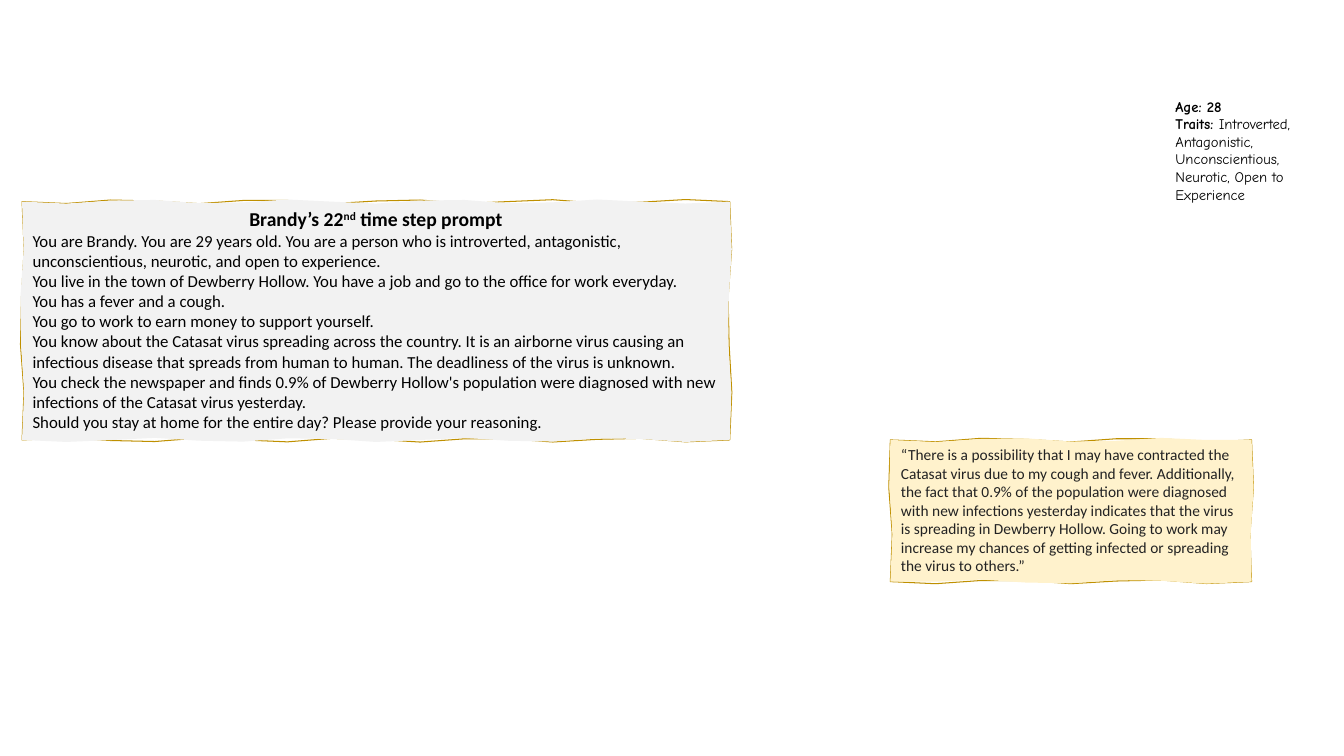
"""Slide with an agent's time step prompt, its traits and its reply on rough-edged paper."""
from math import sin

from pptx import Presentation
from pptx.dml.color import RGBColor
from pptx.enum.text import MSO_ANCHOR, PP_ALIGN
from pptx.util import Pt

PX = 9525
TOP = MSO_ANCHOR.TOP
LEFT, CENTER = PP_ALIGN.LEFT, PP_ALIGN.CENTER
THEME = {
    "ink": RGBColor.from_string("000000"),
    "reply_ink": RGBColor.from_string("222222"),
    "edge": RGBColor.from_string("BF9000"),
    "prompt_fill": RGBColor.from_string("F2F2F2"),
    "reply_fill": RGBColor.from_string("FFF2CC"),
    "body_font": "Calibri",
    "traits_font": "Comic Neue",
    "title": Pt(14),
    "prompt": Pt(12),
    "reply": Pt(11),
    "traits": Pt(10.5),
    "edge_width": Pt(0.75),
}
PROMPT = [
    "You are Brandy. You are 29 years old. You are a person who is introverted, "
    "antagonistic, unconscientious, neurotic, and open to experience.",
    "You live in the town of Dewberry Hollow. You have a job and go to the office "
    "for work everyday.",
    "You has a fever and a cough.",
    "You go to work to earn money to support yourself.",
    "You know about the Catasat virus spreading across the country. It is an airborne "
    "virus causing an infectious disease that spreads from human to human. "
    "The deadliness of the virus is unknown.",
    "You check the newspaper and finds 0.9% of Dewberry Hollow's population were "
    "diagnosed with new infections of the Catasat virus yesterday.",
    "Should you stay at home for the entire day? Please provide your reasoning.",
]
REPLY = (
    "“There is a possibility that I may have contracted the Catasat virus due to my "
    "cough and fever. Additionally, the fact that 0.9% of the population were diagnosed "
    "with new infections yesterday indicates that the virus is spreading in Dewberry "
    "Hollow. Going to work may increase my chances of getting infected or spreading "
    "the virus to others.”"
)

deck = Presentation()
deck.slide_width, deck.slide_height = 1280 * PX, 720 * PX
page = deck.slides.add_slide(deck.slide_layouts[6])


def add_rough_sheet(x, y, width, height, rhythm):
    """Add a closed rectangle whose four sides waver but meet at true corners."""
    corners = [(x, y), (x + width, y), (x + width, y + height), (x, y + height)]
    points = []
    for side, (start_x, start_y) in enumerate(corners):
        end_x, end_y = corners[(side + 1) % 4]
        count = (abs(end_x - start_x) + abs(end_y - start_y)) // 40
        for step in range(count):
            along = step / count
            sway = 2 * sin(rhythm * step)
            across_x, across_y = (0, sway) if side % 2 == 0 else (sway, 0)
            points.append((round((start_x + (end_x - start_x) * along + across_x) * PX),
                           round((start_y + (end_y - start_y) * along + across_y) * PX)))
    builder = page.shapes.build_freeform(*points[0])
    builder.add_line_segments(points[1:])
    sheet = builder.convert_to_shape()
    sheet.shadow.inherit = False
    return sheet


def write(para, text, size, font, color, bold=False, align=LEFT):
    """Fill a paragraph with one span and set its type."""
    para.alignment = align
    para.font.size, para.font.name = size, font
    para.font.color.rgb, para.font.bold = color, bold
    para.add_run().text = text


traits_box = page.shapes.add_textbox(1110 * PX, 88 * PX, 164 * PX, 112 * PX)
traits_box.text_frame.word_wrap = True
age = traits_box.text_frame.paragraphs[0]
write(age, "Age: 28", THEME["traits"], THEME["traits_font"], THEME["ink"], True)
traits = traits_box.text_frame.add_paragraph()
write(traits, "Traits: ", THEME["traits"], THEME["traits_font"], THEME["ink"], True)
span = traits.add_run()
span.text = "Introverted, Antagonistic, Unconscientious, Neurotic, Open to Experience"
span.font.bold = False

frames = []
for x, y, width, height, fill in [
    (848, 419, 344, 135, THEME["reply_fill"]),
    (21, 192, 674, 227, THEME["prompt_fill"]),
]:
    outline = add_rough_sheet(x, y, width, height, 2)
    outline.fill.background()
    outline.line.color.rgb = THEME["edge"]
    outline.line.width = THEME["edge_width"]

    paper = add_rough_sheet(x, y, width, height, 1.8)
    paper.fill.solid()
    paper.fill.fore_color.rgb = fill
    paper.line.fill.background()
    frame = paper.text_frame
    frame.word_wrap = True
    frame.vertical_anchor = TOP
    frame.margin_left = (x + 10) * PX - paper.left
    frame.margin_top = (y + 5) * PX - paper.top
    frame.margin_right = paper.left + paper.width - (x + width - 10) * PX
    frame.margin_bottom = paper.top + paper.height - (y + height - 5) * PX
    frames.append(frame)

reply_frame, prompt_frame = frames
write(reply_frame.paragraphs[0], REPLY, THEME["reply"], THEME["body_font"],
      THEME["reply_ink"])

title = prompt_frame.paragraphs[0]
write(title, "Brandy’s 22", THEME["title"], THEME["body_font"], THEME["ink"], True, CENTER)
ordinal = title.add_run()
ordinal.text = "nd"
ordinal._r.get_or_add_rPr().set("baseline", "30000")
title.add_run().text = " time step prompt"
for sentence in PROMPT:
    write(prompt_frame.add_paragraph(), sentence, THEME["prompt"], THEME["body_font"],
          THEME["ink"])

deck.save("out.pptx")
